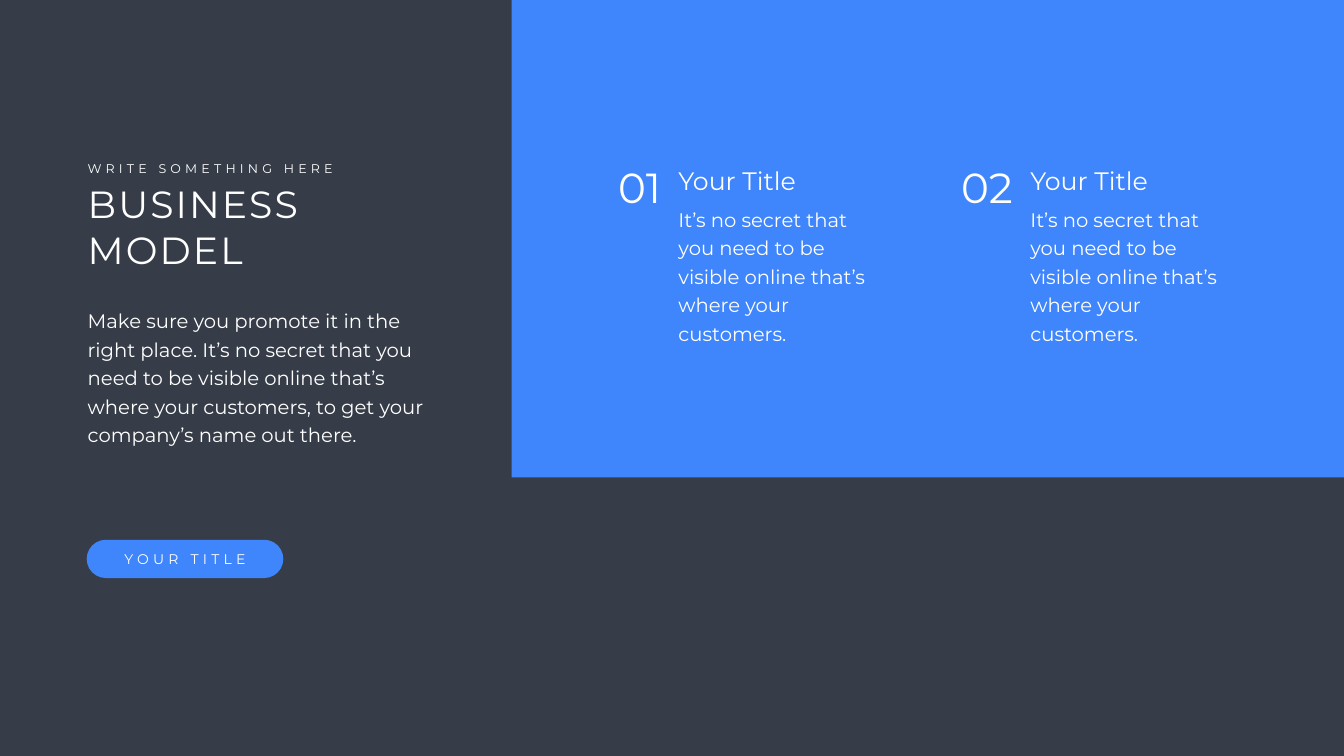
from pptx import Presentation
from pptx.dml.color import RGBColor as Rgb
from pptx.enum.shapes import MSO_SHAPE as Kind
from pptx.enum.text import MSO_ANCHOR as Anchor, MSO_AUTO_SIZE as Fit, PP_ALIGN as Align
from pptx.oxml.xmlchemy import OxmlElement as Node
from pptx.util import Inches, Pt

HUES = {"dark": "363D48", "blue": "3F85FC", "white": "FFFFFF"}
FACE = "Montserrat"


def hue(name):
    return Rgb.from_string(HUES[name])


def write(shape, text, size=28, align=Align.LEFT, lead=None, gap=0,
          wrap=True, anchor=Anchor.TOP, plain=False):
    frame = shape.text_frame
    frame.word_wrap = wrap
    frame.auto_size = Fit.NONE
    frame.vertical_anchor = anchor
    para = frame.paragraphs[0]
    para.alignment = align
    if lead:
        para.line_spacing = Pt(lead)
    if plain:
        para.space_before = Pt(0)
        props = para._p.get_or_add_pPr()
        props.set("marL", "0")
        props.set("indent", "0")
        props.append(Node("a:buNone"))
    run = para.add_run()
    run.text = text
    run.font.name = FACE
    run.font.size = Pt(size)
    run.font.color.rgb = hue("white")
    if gap:
        run._r.get_or_add_rPr().set("spc", str(gap * 100))


class Deck:
    def __init__(self, wide, high):
        self.show = Presentation()
        self.show.slide_width = Inches(wide)
        self.show.slide_height = Inches(high)
        self.slide = self.show.slides.add_slide(self.show.slide_layouts[1])
        fill = self.slide.background.fill
        fill.solid()
        fill.fore_color.rgb = hue("dark")

    def place(self, index, box, text, **style):
        holder = self.slide.placeholders[index]
        holder.left, holder.top, holder.width, holder.height = map(Inches, box)
        write(holder, text, **style)

    def label(self, box, text, **style):
        write(self.slide.shapes.add_textbox(*map(Inches, box)), text, **style)

    def block(self, kind, box):
        shape = self.slide.shapes.add_shape(kind, *map(Inches, box))
        shape.shadow.inherit = False
        shape.fill.solid()
        shape.fill.fore_color.rgb = hue("blue")
        shape.line.fill.background()
        return shape

    def item(self, left, number, title, body):
        inset = left + 1.66
        self.label((left, 3.15, 1.51, 1.11), number, size=60, align=Align.RIGHT)
        self.label((inset, 3.23, 2.68, 0.71), title, size=36)
        self.label((inset, 3.97, 4.32, 2.35), body, lead=40.8)


def main():
    deck = Deck(26.66, 15)
    deck.block(Kind.RECTANGLE, (10.15, 0, 16.51, 9.47))
    deck.label((1.64, 3.14, 5.18, 0.4), "WRITE SOMETHING HERE", size=18, gap=6, wrap=False)
    deck.place(0, (1.64, 3.54, 6.9, 1.92), "BUSINESS MODEL", size=54, gap=3)
    deck.place(1, (1.64, 5.98, 6.9, 2.93),
               "Make sure you promote it in the right place. It’s no secret that you "
               "need to be visible online that’s where your customers, to get your "
               "company’s name out there.", lead=40.8, plain=True)

    pill = deck.block(Kind.ROUNDED_RECTANGLE, (1.72, 10.71, 3.9, 0.76))
    pill.adjustments[0] = 0.5
    write(pill, "YOUR TITLE", size=20, gap=6, align=Align.CENTER,
          wrap=False, anchor=Anchor.MIDDLE)

    body = "It’s no secret that you need to be visible online that’s where your customers."
    for step, number in enumerate(("01", "02")):
        deck.item(11.7 + step * 6.98, number, "Your Title", body)
    deck.show.save("out.pptx")


if __name__ == "__main__":
    main()
